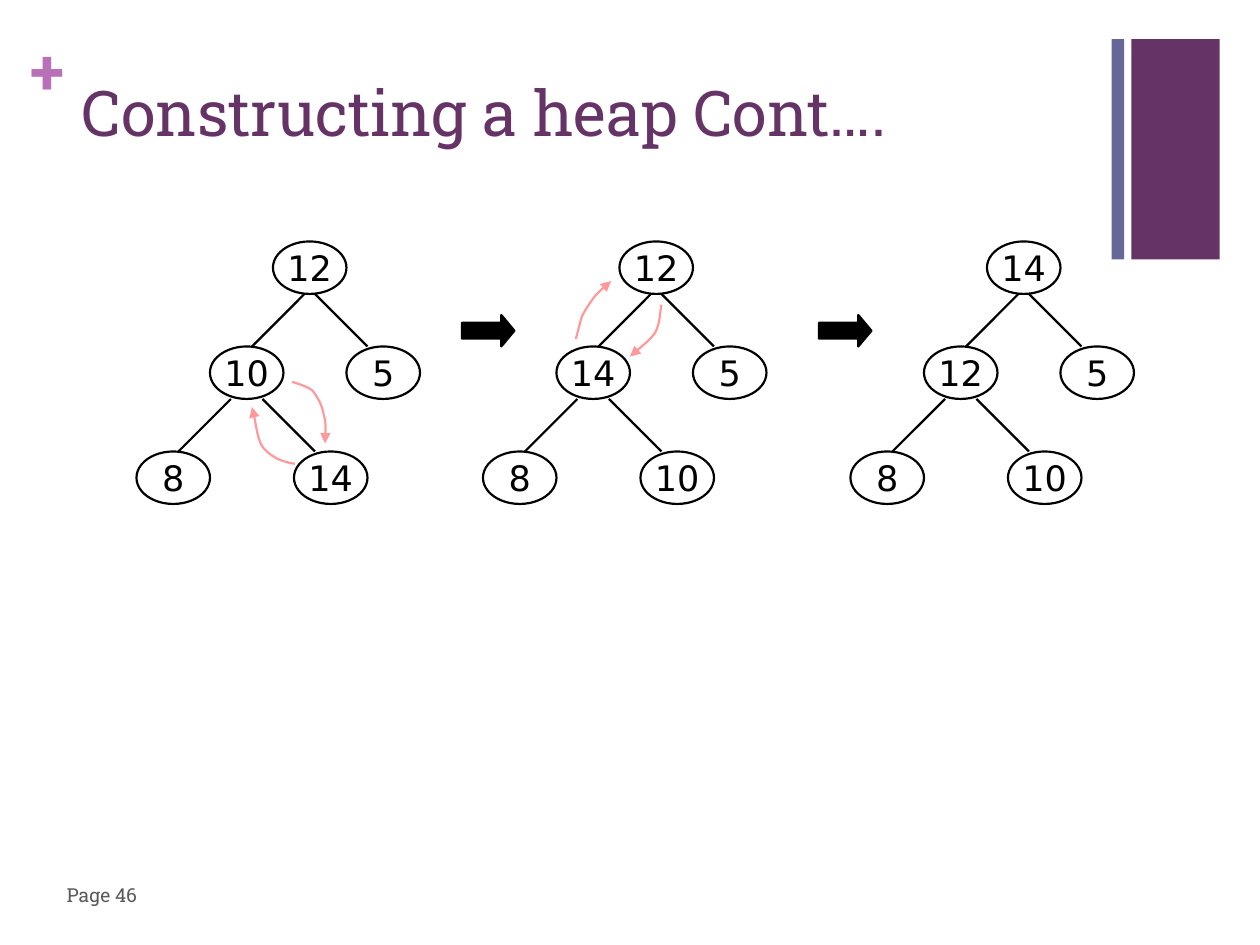
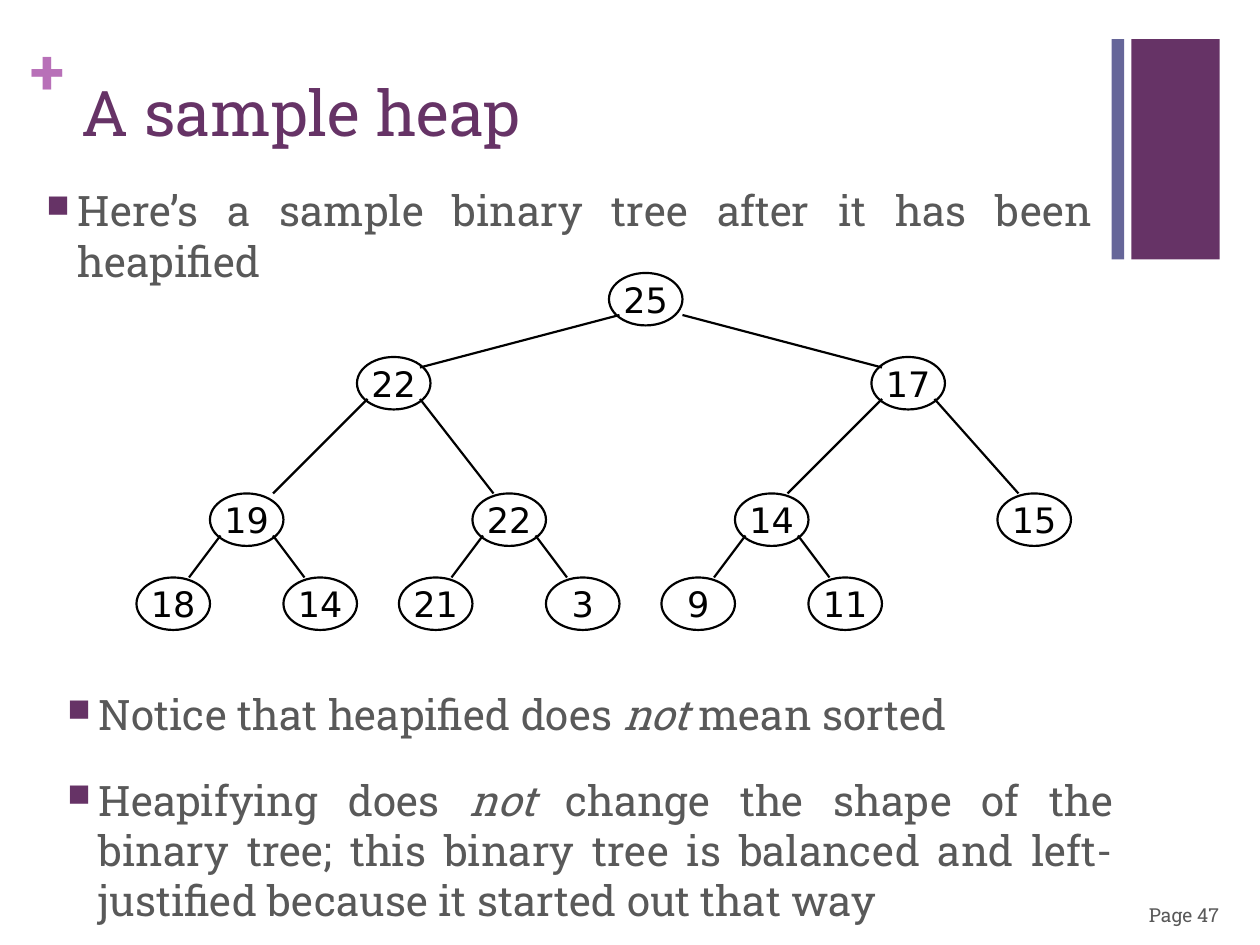
from dataclasses import dataclass
from pptx import Presentation
from pptx.dml.color import RGBColor
from pptx.enum.shapes import MSO_CONNECTOR, MSO_SHAPE
from pptx.enum.text import MSO_ANCHOR, PP_ALIGN
from pptx.oxml.ns import qn
from pptx.util import Pt
from lxml.etree import SubElement


@dataclass(frozen=True)
class Theme:
    purple: str = "663366"
    slate: str = "666699"
    orchid: str = "B870B8"
    body: str = "595959"
    ink: str = "000000"
    swap: str = "FF9999"
    font: str = "Roboto Slab"
    node_font: str = "DejaVu Sans"
    title_size: int = 36
    body_size: int = 24
    node_size: int = 20
    page_size: int = 11
    line: float = 1.25


T = Theme()
NODE_W, NODE_H = 42, 30

SMALL_SLOTS = [
    (78, 0, None, None),
    (42, 60, (18, 30), (24, 0)),
    (120, 60, (24, 30), (12, 0)),
    (0, 120, (12, 30), (24, 0)),
    (90, 120, (30, 30), (12, 0)),
]
LEFT_EXIT, RIGHT_EXIT = (6, 24), (36, 24)
SAMPLE_SLOTS = [
    (270, 0, None, None),
    (126, 48, LEFT_EXIT, (36, 6)),
    (420, 48, (42, 24), (6, 6)),
    (42, 126, LEFT_EXIT, (36, 0)),
    (192, 126, RIGHT_EXIT, (12, 0)),
    (342, 126, LEFT_EXIT, (30, 0)),
    (492, 126, RIGHT_EXIT, (12, 0)),
] + [
    (42 + 150 * i + side * 42, 174, out, into)
    for i in range(3)
    for side, out, into in ((-1, LEFT_EXIT, (30, 0)), (1, RIGHT_EXIT, (12, 0)))
]

SWAP_10_14 = [
    [(90.5, 127), (89, 127), (83.3, 125.5), (80.4, 124.1), (76.8, 121.9),
     (73.2, 119.8), (71, 115.4), (68.9, 110.4), (67.4, 98.9), (66, 94.6)],
    [(89, 80.2), (90.5, 80.9), (97, 82.3), (100.6, 85.2), (103.4, 88.8),
     (106.3, 93.8), (107, 98.9), (108.5, 103.9), (107.8, 112.6), (107.8, 115.4)],
]
SWAP_12_14 = [
    [(53, 55.7), (53.8, 53.5), (55.2, 47), (56.6, 42.7), (58.8, 38.4),
     (61.7, 34.1), (64.6, 30.5), (67.4, 27.6), (71.8, 24), (73.2, 22.6)],
    [(102, 36.2), (101.3, 38.4), (101.3, 47), (98.4, 52.1), (95.5, 56.4),
     (86.9, 62.9), (84, 65.8)],
]


def rgb(color):
    return RGBColor.from_string(color)


def add_run(p, text, size=T.body_size, color=T.body, font=T.font, bold=False, italic=False):
    r = p.add_run()
    r.text = text
    r.font.size, r.font.name = Pt(size), font
    r.font.bold, r.font.italic = bold, italic
    r.font.color.rgb = rgb(color)


def add_textbox(s, x, y, w, h, wrap=True, inset=None, anchor=MSO_ANCHOR.TOP):
    tf = s.shapes.add_textbox(Pt(x), Pt(y), Pt(w), Pt(h)).text_frame
    tf.word_wrap, tf.vertical_anchor = wrap, anchor
    if inset is not None:
        tf.margin_left = tf.margin_top = tf.margin_right = tf.margin_bottom = Pt(inset)
    return tf


def add_shape(s, kind, x, y, w, h, fill=None, line=None):
    sp = s.shapes.add_shape(kind, Pt(x), Pt(y), Pt(w), Pt(h))
    sp.shadow.inherit = False
    paint(sp, fill, line)
    return sp


def paint(sp, fill=None, line=None):
    if fill:
        sp.fill.solid()
        sp.fill.fore_color.rgb = rgb(fill)
    else:
        sp.fill.background()
    if line:
        sp.line.color.rgb = rgb(line)
        sp.line.width = Pt(T.line)
    else:
        sp.line.fill.background()


def add_edge(s, x1, y1, x2, y2):
    cx = s.shapes.add_connector(MSO_CONNECTOR.STRAIGHT, Pt(x1), Pt(y1), Pt(x2), Pt(y2))
    cx.line.color.rgb = rgb(T.ink)
    cx.line.width = Pt(T.line)
    SubElement(cx._element.spPr, qn("a:effectLst"))


def add_node(s, x, y, label):
    sp = add_shape(s, MSO_SHAPE.OVAL, x, y, NODE_W, NODE_H, line=T.ink)
    tf = sp.text_frame
    tf.word_wrap, tf.vertical_anchor = False, MSO_ANCHOR.MIDDLE
    p = tf.paragraphs[0]
    p.alignment = PP_ALIGN.CENTER
    add_run(p, str(label), size=T.node_size, color=T.ink, font=T.node_font)


def add_swap(s, x, y, points):
    pts = [(Pt(x + px), Pt(y + py)) for px, py in points]
    fb = s.shapes.build_freeform(*pts[0])
    fb.add_line_segments(pts[1:], close=False)
    sp = fb.convert_to_shape()
    sp.shadow.inherit = False
    paint(sp, line=T.swap)
    outline = next(sp._element.iter(qn("a:path")))
    segments = outline.findall(qn("a:lnTo"))
    for i in range(0, len(segments), 3):
        curve = SubElement(outline, qn("a:cubicBezTo"))
        for seg in segments[i:i + 3]:
            curve.append(seg[0])
            outline.remove(seg)
    SubElement(sp.line._get_or_add_ln(), qn("a:tailEnd"), type="triangle")


def add_tree(s, x, y, labels, slots, swaps=()):
    for i, (label, (nx, ny, out, into)) in enumerate(zip(labels, slots)):
        add_node(s, x + nx, y + ny, label)
        if i:
            px, py = slots[(i - 1) // 2][:2]
            add_edge(s, x + px + out[0], y + py + out[1], x + nx + into[0], y + ny + into[1])
    for points in swaps:
        add_swap(s, x, y, points)


def add_step_arrow(s, x, y):
    sp = add_shape(s, MSO_SHAPE.RIGHT_ARROW, x, y, 30, 18, fill=T.ink, line=T.ink)
    sp.adjustments[0], sp.adjustments[1] = 0.5, 0.417


def add_bullets(s, x, y, w, h, paragraphs):
    tf = add_textbox(s, x, y, w, h)
    for i, runs in enumerate(paragraphs):
        p = tf.add_paragraph() if i else tf.paragraphs[0]
        p.alignment, p.space_before = PP_ALIGN.JUSTIFY, Pt(20)
        pPr = p._p.get_or_add_pPr()
        pPr.set("marL", str(Pt(18)))
        pPr.set("indent", str(-Pt(18)))
        SubElement(SubElement(pPr, qn("a:buClr")), qn("a:srgbClr"), val=T.purple)
        SubElement(pPr, qn("a:buSzPct"), val="75000")
        SubElement(pPr, qn("a:buChar"), char="■")
        for j, text in enumerate(runs):
            add_run(p, text, italic=j % 2 == 1)


def add_frame(prs, title, page, page_x, page_y):
    s = prs.slides.add_slide(prs.slide_layouts[6])
    add_shape(s, MSO_SHAPE.RECTANGLE, 646.5, 22.3, 50.5, 126, fill=T.purple)
    add_shape(s, MSO_SHAPE.RECTANGLE, 635.2, 22.3, 7.2, 126, fill=T.slate)
    plus = add_textbox(s, 17.5, 18, 21, 44, wrap=False, inset=0)
    add_run(plus.paragraphs[0], "+", size=T.title_size, color=T.orchid, bold=True)
    tf = add_textbox(s, 39.6, 38.2, 594.7, 87.8)
    add_run(tf.paragraphs[0], title, size=T.title_size, color=T.purple)
    footer = add_textbox(s, page_x, page_y, 54.7, 28.8, wrap=False, anchor=MSO_ANCHOR.MIDDLE)
    add_run(footer.paragraphs[0], f"Page {page}", size=T.page_size)
    return s


def construction_slide(prs):
    s = add_frame(prs, "Constructing a heap Cont….", 46, 31, 496.8)
    steps = [
        (78, [12, 10, 5, 8, 14], SWAP_10_14),
        (276, [12, 14, 5, 8, 10], SWAP_12_14),
        (486, [14, 12, 5, 8, 10], ()),
    ]
    for x, labels, swaps in steps:
        add_tree(s, x, 138, labels, SMALL_SLOTS, swaps)
    for x in (264, 468):
        add_step_arrow(s, x, 180)


def sample_slide(prs):
    s = add_frame(prs, "A sample heap", 47, 649.4, 508.3)
    add_bullets(s, 19.5, 102, 612, 60, [
        ["Here’s a sample binary tree after it has been heapified"],
    ])
    add_bullets(s, 31.5, 390, 612, 150, [
        ["Notice that heapified does ", "not", " mean sorted"],
        ["Heapifying does ", "not", " change the shape of the binary tree; this binary tree "
         "is balanced and left-justified because it started out that way"],
    ])
    labels = [25, 22, 17, 19, 22, 14, 15, 18, 14, 21, 3, 9, 11]
    add_tree(s, 78, 156, labels, SAMPLE_SLOTS)


def main():
    prs = Presentation()
    prs.slide_width, prs.slide_height = Pt(720), Pt(540)
    construction_slide(prs)
    sample_slide(prs)
    prs.save("out.pptx")


if __name__ == "__main__":
    main()
